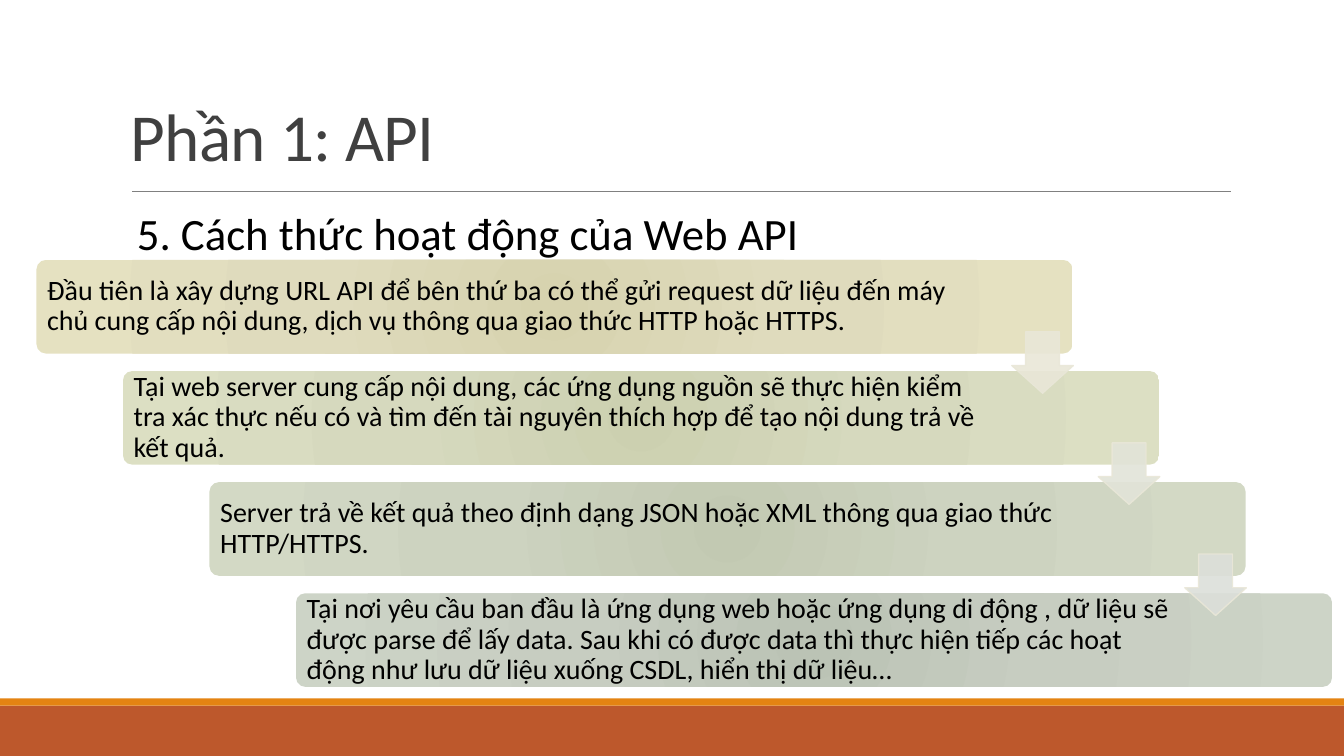
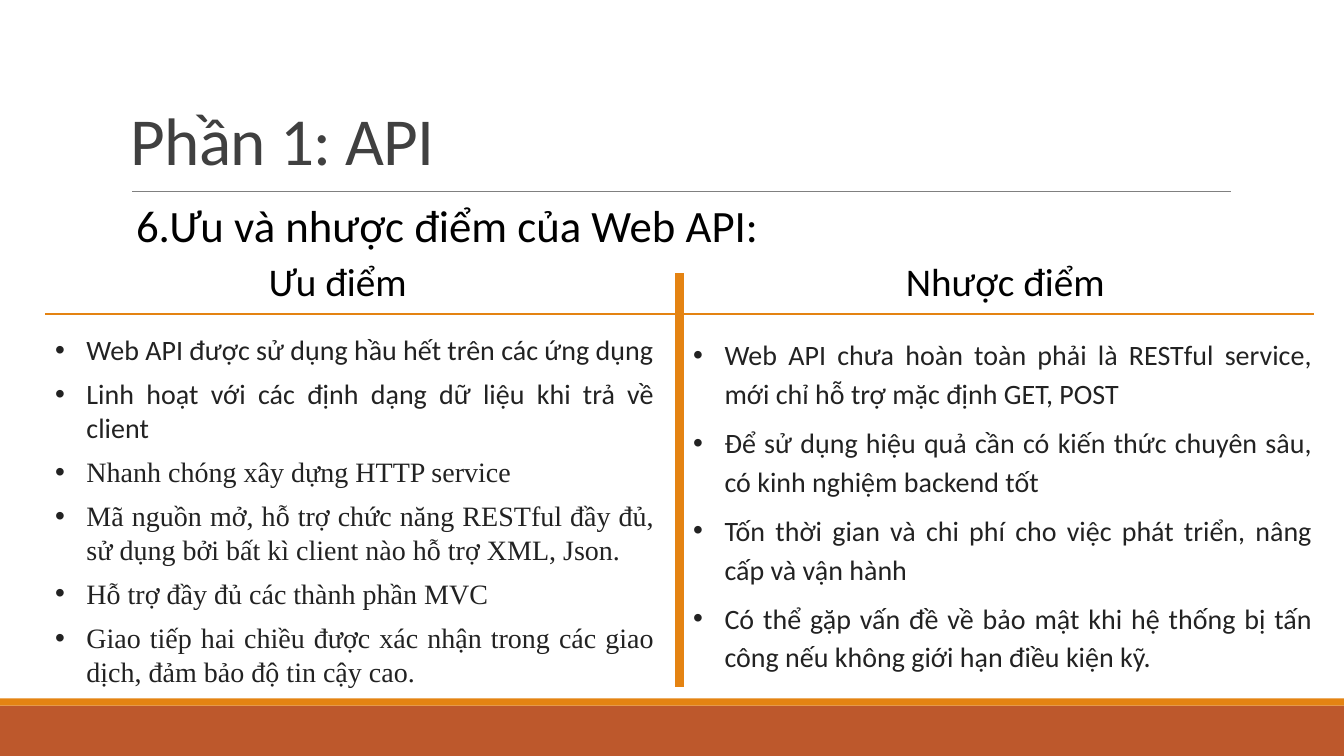
from lxml import etree
from pptx import Presentation
from pptx.dml.color import RGBColor
from pptx.enum.shapes import MSO_CONNECTOR, MSO_SHAPE
from pptx.enum.text import MSO_ANCHOR, PP_ALIGN
from pptx.oxml import parse_xml
from pptx.oxml.ns import nsdecls, qn
from pptx.util import Cm, Pt

STRAIGHT = MSO_CONNECTOR.STRAIGHT
RECTANGLE = MSO_SHAPE.RECTANGLE
ROUNDED = MSO_SHAPE.ROUNDED_RECTANGLE
DOWN_ARROW = MSO_SHAPE.DOWN_ARROW
TOP, MIDDLE, BOTTOM = MSO_ANCHOR.TOP, MSO_ANCHOR.MIDDLE, MSO_ANCHOR.BOTTOM
LEFT, JUSTIFY = PP_ALIGN.LEFT, PP_ALIGN.JUSTIFY

BLACK = RGBColor(0x00, 0x00, 0x00)
TITLE_GREY = RGBColor(0x40, 0x40, 0x40)
BODY_GREY = RGBColor(0x22, 0x22, 0x22)
RULE_GREY = RGBColor(0x80, 0x80, 0x80)
ORANGE = RGBColor(0xE4, 0x83, 0x12)
RUST = RGBColor(0xBD, 0x58, 0x2C)
ARROW_EDGE = RGBColor(0xE9, 0xE7, 0xD8)
ARROW_FILLS = [ARROW_EDGE, RGBColor(0xE2, 0xE4, 0xD9), RGBColor(0xDC, 0xDF, 0xDA)]
# Centre, middle and edge colour of each step's radial gradient
STEP_GRADIENTS = [
    [RGBColor(0xD7, 0xD3, 0xAF), RGBColor(0xDF, 0xDB, 0xBD), RGBColor(0xE5, 0xE1, 0xC1)],
    [RGBColor(0xCC, 0xD0, 0xB0), RGBColor(0xD6, 0xD9, 0xBE), RGBColor(0xDC, 0xDF, 0xC3)],
    [RGBColor(0xC2, 0xC9, 0xB2), RGBColor(0xCD, 0xD3, 0xC0), RGBColor(0xD3, 0xD9, 0xC5)],
    [RGBColor(0xBB, 0xC3, 0xB5), RGBColor(0xC7, 0xCD, 0xC1), RGBColor(0xCD, 0xD4, 0xC7)],
]

SANS = "Calibri"
SERIF = "Times New Roman"
WIDTH, HEIGHT = 33.87, 19.05

STEPS = [
    "Đầu tiên là xây dựng URL API để bên thứ ba có thể gửi request dữ liệu đến máy chủ "
    "cung cấp nội dung, dịch vụ thông qua giao thức HTTP hoặc HTTPS.",
    "Tại web server cung cấp nội dung, các ứng dụng nguồn sẽ thực hiện kiểm tra xác thực "
    "nếu có và tìm đến tài nguyên thích hợp để tạo nội dung trả về kết quả.",
    "Server trả về kết quả theo định dạng JSON hoặc XML thông qua giao thức HTTP/HTTPS.",
    "Tại nơi yêu cầu ban đầu là ứng dụng web hoặc ứng dụng di động , dữ liệu sẽ được parse "
    "để lấy data. Sau khi có được data thì thực hiện tiếp các hoạt động như lưu dữ liệu "
    "xuống CSDL, hiển thị dữ liệu…",
]
ADVANTAGES = [
    ("Web API được sử dụng hầu hết trên các ứng dụng", SANS),
    ("Linh hoạt với các định dạng dữ liệu khi trả về client", SANS),
    ("Nhanh chóng xây dựng HTTP service", SERIF),
    ("Mã nguồn mở, hỗ trợ chức năng RESTful đầy đủ, sử dụng bởi bất kì client nào "
     "hỗ trợ XML, Json.", SERIF),
    ("Hỗ trợ đầy đủ các thành phần MVC", SERIF),
    ("Giao tiếp hai chiều được xác nhận trong các giao dịch, đảm bảo độ tin cậy cao.", SERIF),
]
DRAWBACKS = [
    ("Web API chưa hoàn toàn phải là RESTful service, mới chỉ hỗ trợ mặc định GET, POST", SANS),
    ("Để sử dụng hiệu quả cần có kiến thức chuyên sâu, có kinh nghiệm backend tốt", SANS),
    ("Tốn thời gian và chi phí cho việc phát triển, nâng cấp và vận hành", SANS),
    ("Có thể gặp vấn đề về bảo mật khi hệ thống bị tấn công nếu không giới hạn "
     "điều kiện kỹ.", SANS),
]


class Deck:
    """Holds the presentation, its style and the current slide."""

    def __init__(self):
        self.presentation = Presentation()
        self.presentation.slide_width = Cm(WIDTH)
        self.presentation.slide_height = Cm(HEIGHT)
        self.slide = None

    def new_slide(self, title, title_top):
        self.slide = self.presentation.slides.add_slide(self.presentation.slide_layouts[6])
        self.shape(RECTANGLE, 0, 17.78, WIDTH, 1.27, RUST)
        self.shape(RECTANGLE, 0, 17.6, WIDTH, 0.18, ORANGE)
        self.line(3.33, 4.83, 31.01, 4.83, RULE_GREY, 0.5)
        frame = self.text_box(3.05, title_top, 27.94, 3.84, BOTTOM)
        run = self.add_text(frame.paragraphs[0], title, 48, TITLE_GREY, spacing=0.85)
        run.font._element.set("spc", "-50")

    def shape(self, kind, left, top, width, height, fill=None):
        shape = self.slide.shapes.add_shape(kind, Cm(left), Cm(top), Cm(width), Cm(height))
        shape.shadow.inherit = False
        shape.line.fill.background()
        if fill is not None:
            shape.fill.solid()
            shape.fill.fore_color.rgb = fill
        return shape

    def line(self, x1, y1, x2, y2, color, weight):
        line = self.slide.shapes.add_connector(STRAIGHT, Cm(x1), Cm(y1), Cm(x2), Cm(y2))
        line.line.color.rgb = color
        line.line.width = Pt(weight)
        etree.SubElement(line._element.spPr, qn("a:effectLst"))

    def text_box(self, left, top, width, height, anchor=TOP):
        box = self.slide.shapes.add_textbox(Cm(left), Cm(top), Cm(width), Cm(height))
        box.text_frame.word_wrap = True
        box.text_frame.vertical_anchor = anchor
        return box.text_frame

    def add_text(self, paragraph, text, size, color, font=SANS, align=LEFT, spacing=1.0):
        paragraph.alignment = align
        paragraph.line_spacing = spacing
        run = paragraph.add_run()
        run.text = text
        run.font.name = font
        run.font.size = Pt(size)
        run.font.color.rgb = color
        return run

    def heading(self, text, left, top, width, size):
        frame = self.text_box(left, top, width, 1.6)
        self.add_text(frame.paragraphs[0], text, size, BLACK)

    def bullets(self, items, left, top, width, height, spacing=1.0):
        frame = self.text_box(left, top, width, height)
        for index, (text, font) in enumerate(items):
            paragraph = frame.add_paragraph() if index else frame.paragraphs[0]
            properties = paragraph._p.get_or_add_pPr()
            properties.set("marL", str(Cm(0.79)))
            properties.set("indent", str(Cm(-0.79)))
            etree.SubElement(properties, qn("a:buFont")).set("typeface", "Arial")
            etree.SubElement(properties, qn("a:buChar")).set("char", "•")
            paragraph.space_after = Pt(7.5)
            self.add_text(paragraph, text, 20, BODY_GREY, font, JUSTIFY, spacing)

    def step(self, text, left, top, text_room, colors):
        width = 26.11
        shape = self.shape(ROUNDED, left, top, width, 2.36)
        shape.adjustments[0] = 0.1
        self.radial_fill(shape, colors)
        frame = shape.text_frame
        frame.word_wrap = True
        frame.vertical_anchor = MIDDLE
        frame.margin_left = frame.margin_top = frame.margin_bottom = Cm(0.2)
        frame.margin_right = Cm(width - text_room)
        self.add_text(frame.paragraphs[0], text, 20, BLACK, spacing=0.9)

    def radial_fill(self, shape, colors):
        stops = "".join(
            f'<a:gs pos="{position}"><a:srgbClr val="{color}"/></a:gs>'
            for position, color in zip((0, 45000, 100000), colors))
        shape.fill.gradient()
        properties = shape._element.spPr
        properties.replace(properties.find(qn("a:gradFill")), parse_xml(
            f'<a:gradFill {nsdecls("a")} rotWithShape="1"><a:gsLst>{stops}</a:gsLst>'
            '<a:path path="circle"><a:fillToRect l="100000" t="100000" r="100000" '
            'b="100000"/></a:path></a:gradFill>'))

    def arrow(self, left, top, fill):
        shape = self.shape(DOWN_ARROW, left, top, 1.55, 1.55, fill)
        # Shaft width, then head length
        shape.adjustments[0] = 0.55
        shape.adjustments[1] = 0.45
        shape.line.color.rgb = ARROW_EDGE
        shape.line.width = Pt(1)
        for color in shape._element.spPr.findall(".//" + qn("a:srgbClr")):
            etree.SubElement(color, qn("a:alpha")).set("val", "90000")


def build_steps_slide(deck):
    deck.new_slide("Phần 1: API", 0.69)
    deck.heading("5. Cách thức hoạt động của Web API", 3.2, 5.05, 21.08, 32)
    # Staircase of steps, with an arrow over each joint
    corners = [(0.92 + 2.18 * index, 6.55 + 2.8 * index) for index in range(len(STEPS))]
    for index, (left, top) in enumerate(corners):
        text_room = 22.2 if index else 23.3
        deck.step(STEPS[index], left, top, text_room, STEP_GRADIENTS[index])
    for (left, top), fill in zip(corners, ARROW_FILLS):
        deck.arrow(left + 24.58, top + 1.81, fill)


def build_comparison_slide(deck):
    deck.new_slide("Phần 1: API", 0.79)
    deck.heading("6.Ưu và nhược điểm của Web API:", 3.18, 4.85, 16.92, 32)
    # Cross that divides the two columns
    deck.line(17.12, 6.88, 17.12, 17.32, ORANGE, 6)
    deck.line(1.14, 7.92, 33.12, 7.92, ORANGE, 1.5)
    # Columns
    deck.heading("Ưu điểm", 6.53, 6.35, 4.19, 28)
    deck.heading("Nhược điểm", 22.58, 6.35, 6.02, 28)
    deck.bullets(ADVANTAGES, 1.14, 8.26, 15.6, 10.44)
    deck.bullets(DRAWBACKS, 17.22, 8.26, 16.1, 9.75, spacing=1.15)


def main():
    deck = Deck()
    build_steps_slide(deck)
    build_comparison_slide(deck)
    deck.presentation.save("out.pptx")


if __name__ == "__main__":
    main()
